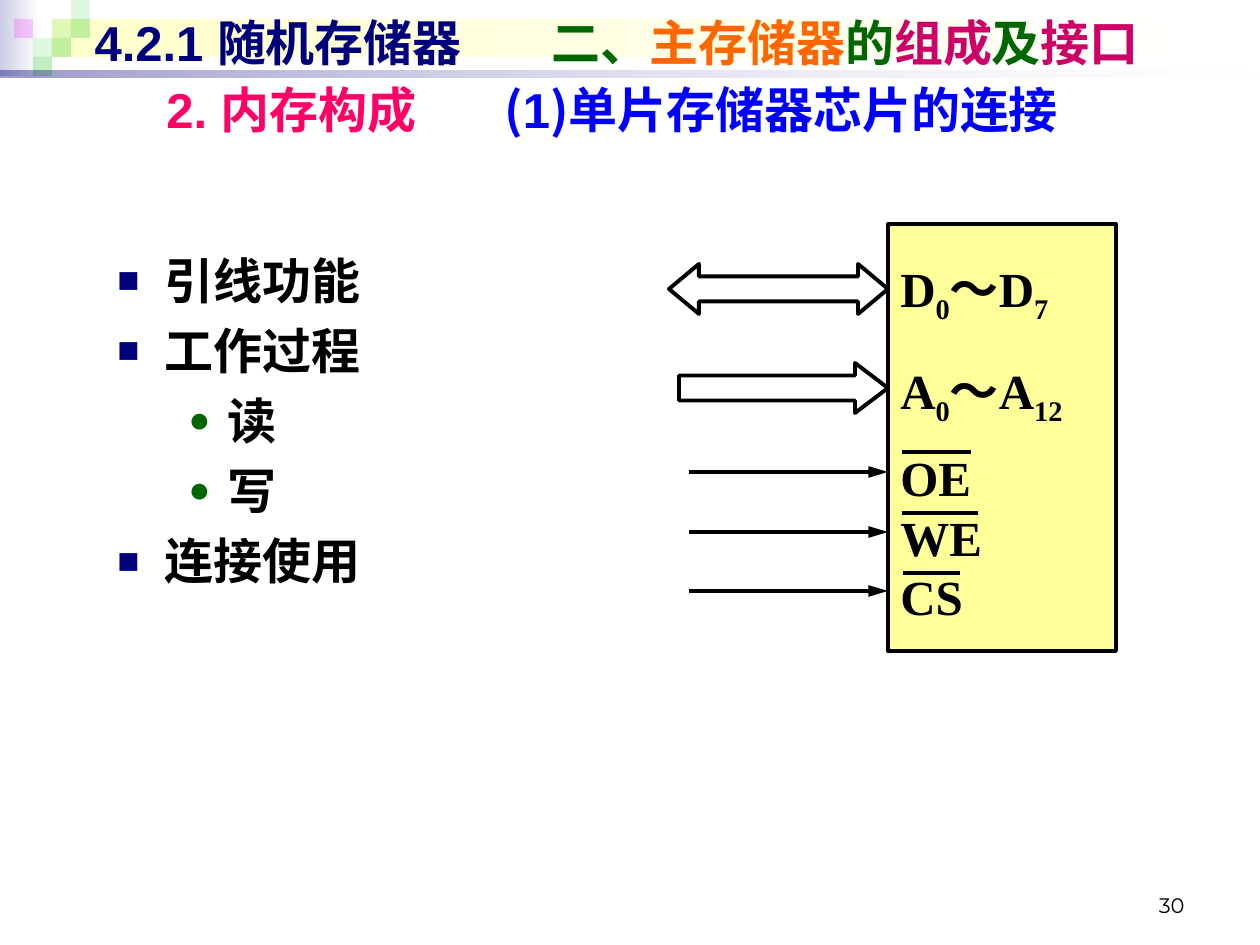
from lxml.etree import SubElement
from pptx import Presentation
from pptx.dml.color import RGBColor
from pptx.enum.shapes import MSO_CONNECTOR, MSO_SHAPE
from pptx.enum.text import MSO_ANCHOR, PP_ALIGN
from pptx.oxml.ns import qn
from pptx.util import Pt

PX = 914400 / 126
CELL = 19
CJK = "Noto Sans CJK SC"
SERIF = "Times New Roman"
COLORS = {
    "black": "000000", "white": "FFFFFF", "navy": "00007D", "lavender": "CCCCE6",
    "cream": "FFFFCC", "mint": "33CC33", "magenta": "FF00FF", "green": "006600",
    "orange": "FF6600", "crimson": "CC0066", "pink": "FF0066", "blue": "0000FF",
    "chip": "FFFF99",
}


def emu(*lengths):
    return [round(length * PX) for length in lengths]


def rgb(name):
    return RGBColor.from_string(COLORS[name])


def write(paragraph, text, color="black", size=28, font="Arial", bold=True, baseline=0):
    run = paragraph.add_run()
    run.text = text
    run.font.size = Pt(size)
    run.font.name = font
    run.font.bold = bold
    run.font.color.rgb = rgb(color)
    properties = run.font._element
    if baseline:
        properties.set("baseline", str(baseline * 1000))
    SubElement(properties, qn("a:ea"), typeface=CJK)


def add_text_area(slide, box, anchor=MSO_ANCHOR.TOP):
    frame = slide.shapes.add_textbox(*emu(*box)).text_frame
    frame.word_wrap = True
    frame.vertical_anchor = anchor
    return frame


def add_tab(paragraph, position):
    tabs = SubElement(paragraph._p.get_or_add_pPr(), qn("a:tabLst"))
    SubElement(tabs, qn("a:tab"), pos=str(emu(position)[0]), algn="l")


def add_bullet(paragraph, mark, color, margin, hanging):
    properties = paragraph._p.get_or_add_pPr()
    properties.set("marL", str(emu(margin)[0]))
    properties.set("indent", str(emu(-hanging)[0]))
    tint = SubElement(properties, qn("a:buClr"))
    SubElement(tint, qn("a:srgbClr"), val=COLORS[color])
    SubElement(properties, qn("a:buSzPct"), val="75000")
    SubElement(properties, qn("a:buFont"), typeface="Arial")
    SubElement(properties, qn("a:buChar"), char=mark)


def add_block(slide, kind, box, fill=None, outlined=False):
    block = slide.shapes.add_shape(kind, *emu(*box))
    block.shadow.inherit = False
    if fill:
        block.fill.solid()
        block.fill.fore_color.rgb = rgb(fill)
    else:
        block.fill.background()
    if outlined:
        block.line.color.rgb = rgb("black")
        block.line.width = Pt(2.25)
    else:
        block.line.fill.background()
    return block


def set_alpha(block, percents):
    tints = block._element.spPr.iterfind(".//" + qn("a:srgbClr"))
    for tint, percent in zip(tints, percents):
        SubElement(tint, qn("a:alpha"), val=str(percent * 1000))


def add_fade(slide, box, start, alphas=()):
    band = add_block(slide, MSO_SHAPE.RECTANGLE, box)
    band.fill.gradient()
    band.fill.gradient_angle = 0
    for stop, color, position in zip(band.fill.gradient_stops, (start, "white"), (0, 1)):
        stop.color.rgb = rgb(color)
        stop.position = position
    set_alpha(band, alphas)


def add_line(slide, start, end, y, arrow=False):
    line = slide.shapes.add_connector(MSO_CONNECTOR.STRAIGHT, *emu(start, y, end, y))
    line.line.color.rgb = rgb("black")
    line.line.width = Pt(2.25)
    if arrow:
        SubElement(line.line._get_or_add_ln(), qn("a:tailEnd"),
                   type="triangle", w="med", len="lg")
    SubElement(line._element.spPr, qn("a:effectLst"))


def add_ornament(slide):
    add_fade(slide, (0, 0, 39, 76), "lavender")
    add_fade(slide, (52, 19, 1203, 38), "cream")
    for column, row, color, alpha in (
        (2, 1, "mint", 15), (3, 0, "mint", 15), (3, 1, "mint", 30), (1, 2, "mint", 15),
        (0, 1, "magenta", 20), (2, 2, "mint", 30), (1, 3, "mint", 30),
    ):
        box = (14 + column * CELL, row * CELL, CELL, CELL)
        set_alpha(add_block(slide, MSO_SHAPE.RECTANGLE, box, color), [alpha])
    add_fade(slide, (0, 71, 1260, 7), "navy", (40, 10))


def add_headings(slide):
    title = slide.shapes.title
    title.left, title.top, title.width, title.height = emu(82, 6, 1134, 72)
    title.element.getparent().append(title.element)
    title.text_frame.vertical_anchor = MSO_ANCHOR.MIDDLE
    heading = title.text_frame.paragraphs[0]
    heading.alignment = PP_ALIGN.LEFT
    add_tab(heading, 457)
    for text, color in (
        ("4.2.1 随机存储器\t", "navy"), ("二、", "green"), ("主存储器", "orange"),
        ("的", "green"), ("组成", "crimson"), ("及", "green"), ("接口", "crimson"),
    ):
        write(heading, text, color)

    subheading = add_text_area(slide, (154, 73, 1065, 72), MSO_ANCHOR.MIDDLE).paragraphs[0]
    add_tab(subheading, 338)
    for text, color, font in (
        ("2. 内存构成\t", "pink", "Arial"), ("(", "blue", CJK), ("1", "blue", "Arial"),
        (")", "blue", CJK), ("单片存储器芯片的连接", "blue", "Arial"),
    ):
        write(subheading, text, color, font=font)


def add_topics(slide):
    frame = add_text_area(slide, (105, 244, 507, 674))
    levels = (("■", "navy", 47, 47), ("●", "green", 110, 39))
    topics = (("引线功能", 0), ("工作过程", 0), ("读", 1), ("写", 1), ("连接使用", 0))
    for index, (text, level) in enumerate(topics):
        topic = frame.add_paragraph() if index else frame.paragraphs[0]
        topic.level = level
        add_bullet(topic, *levels[level])
        if index:
            topic.space_before = Pt(6.5)
        write(topic, text, font=SERIF)


def add_pin_label(slide, top, parts):
    label = add_text_area(slide, (888, top, 228, 72)).paragraphs[0]
    for text, baseline in parts:
        write(label, text, font=SERIF, baseline=baseline)


def add_chip(slide):
    add_block(slide, MSO_SHAPE.RECTANGLE, (888, 224, 228, 427), "chip", True)
    for kind, box, head, top, letter, last in (
        (MSO_SHAPE.LEFT_RIGHT_ARROW, (669, 264, 219, 50), 0.6, 252, "D", "7"),
        (MSO_SHAPE.RIGHT_ARROW, (679, 363, 209, 50), 0.66, 354, "A", "12"),
    ):
        bus = add_block(slide, kind, box, outlined=True)
        bus.adjustments[0] = 0.5
        bus.adjustments[1] = head
        add_pin_label(slide, top, ((letter, 0), ("0", -25), (f"～{letter}", 0), (last, -25)))
    for signal, y, bar_start, bar_end, bar_y in (
        ("OE", 472, 902, 971, 452), ("WE", 532, 902, 978, 513), ("CS", 591, 903, 960, 573),
    ):
        add_line(slide, 689, 888, y, arrow=True)
        add_pin_label(slide, y - 31, ((signal, 0),))
        add_line(slide, bar_start, bar_end, bar_y)


def add_page_number(slide):
    number = add_text_area(slide, (903, 861, 294, 63), MSO_ANCHOR.BOTTOM).paragraphs[0]
    number.alignment = PP_ALIGN.RIGHT
    write(number, "30", size=12, font="Montserrat", bold=False)


def main():
    deck = Presentation()
    deck.slide_width, deck.slide_height = emu(1260, 945)
    slide = deck.slides.add_slide(deck.slide_layouts[5])
    add_ornament(slide)
    add_headings(slide)
    add_topics(slide)
    add_chip(slide)
    add_page_number(slide)
    deck.save("out.pptx")


if __name__ == "__main__":
    main()
